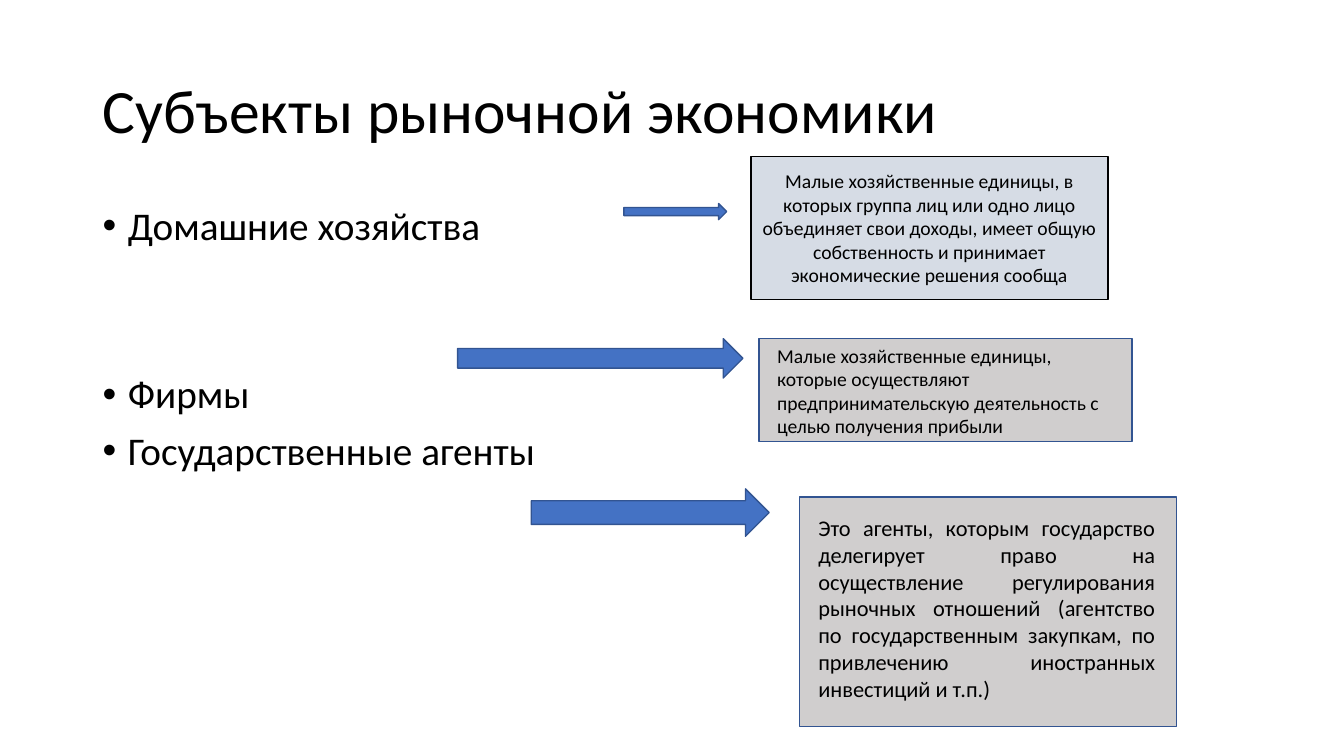
from typing import NamedTuple

from lxml import etree
from pptx import Presentation
from pptx import util as u
from pptx.dml.color import RGBColor
from pptx.enum import shapes, text
from pptx.oxml.ns import qn

FONT = "Calibri"
BLACK, BLUE, NAVY, GREY, PALE = "000000", "4472C4", "325491", "D0CECE", "D6DCE5"
ARROW, RECT = shapes.MSO_SHAPE.RIGHT_ARROW, shapes.MSO_SHAPE.RECTANGLE
MID, TOP = text.MSO_ANCHOR.MIDDLE, text.MSO_ANCHOR.TOP
LEFT, CENTER, FULL = text.PP_ALIGN.LEFT, text.PP_ALIGN.CENTER, text.PP_ALIGN.JUSTIFY


class Area(NamedTuple):
    """Left, top, width and height in percent of the slide."""
    x: float
    y: float
    w: float
    h: float


class Form(NamedTuple):
    kind: int
    area: Area
    fill: str
    line: str = NAVY


class Note(NamedTuple):
    area: Area
    words: str
    size: int
    align: int
    anchor: int = TOP


class Item(NamedTuple):
    words: str
    gap: float


TITLE = Area(6.9, 5.33, 86.25, 19.33)
BODY = Area(6.9, 26.67, 42.5, 63.47)
HOME = Area(55.88, 20.67, 26.55, 18.93)

FORMS = [
    Form(ARROW, Area(46.42, 26.93, 7.65, 2.13), BLUE),
    Form(RECT, HOME, PALE, BLACK),
    Form(ARROW, Area(34.05, 44.8, 21.23, 5.2), BLUE),
    Form(RECT, Area(56.48, 44.8, 27.75, 13.6), GREY),
    Form(ARROW, Area(39.53, 64.67, 17.7, 6.27), BLUE),
    Form(RECT, Area(59.48, 65.73, 28.05, 30.4), GREY),
]
NOTES = [
    Note(HOME, "Малые хозяйственные единицы, в которых группа лиц или одно лицо "
         "объединяет свои доходы, имеет общую собственность и принимает "
         "экономические решения сообща", 14, CENTER, MID),
    Note(Area(57.08, 44.8, 26.55, 13.87),
         "Малые хозяйственные единицы, которые осуществляют "
         "предпринимательскую деятельность с целью получения прибыли", 14, LEFT),
    Note(Area(60.15, 67.33, 26.55, 26.53),
         "Это агенты, которым государство делегирует право на осуществление "
         "регулирования рыночных отношений (агентство по государственным "
         "закупкам, по привлечению иностранных инвестиций и т.п.)", 16, FULL),
]
ITEMS = [
    Item("Домашние хозяйства", 0),
    Item("Фирмы", 90),
    Item("Государственные агенты", 10),
]

deck = Presentation()
deck.slide_width, deck.slide_height = u.Inches(13.33), u.Inches(7.5)


def hue(code: str) -> RGBColor:
    return RGBColor.from_string(code)


def apply(obj, **vals) -> None:
    for key, val in vals.items():
        setattr(obj, key, val)


def span(area: Area) -> tuple[int, ...]:
    """Turn percent of the slide into lengths."""
    wide, high = deck.slide_width, deck.slide_height
    return tuple(int(part * full / 100)
                 for part, full in zip(area, (wide, high, wide, high)))


def write(para, words: str, size: int, **form) -> None:
    run = para.add_run()
    run.text = words
    apply(run.font, name=FONT, size=u.Pt(size))
    run.font.color.rgb = hue(BLACK)
    apply(para, **form)


def draw_form(slide, form: Form) -> None:
    shape = slide.shapes.add_shape(form.kind, *span(form.area))
    shape.shadow.inherit = False
    shape.fill.solid()
    shape.fill.fore_color.rgb = hue(form.fill)
    shape.line.color.rgb = hue(form.line)
    shape.line.width = u.Pt(1)


def add_frame(slide, area: Area, anchor: int = TOP):
    frame = slide.shapes.add_textbox(*span(area)).text_frame
    apply(frame, word_wrap=True, vertical_anchor=anchor)
    return frame


def draw_note(slide, note: Note) -> None:
    frame = add_frame(slide, note.area, note.anchor)
    write(frame.paragraphs[0], note.words, note.size, alignment=note.align)


def add_dot(para) -> None:
    """Give a paragraph a bullet and a hanging indent."""
    props = para._p.get_or_add_pPr()
    props.set("marL", str(u.Inches(0.25)))
    props.set("indent", str(-u.Inches(0.25)))
    etree.SubElement(props, qn("a:buFont"), typeface="Arial")
    etree.SubElement(props, qn("a:buChar"), char="•")


def draw_list(slide, items: list[Item]) -> None:
    frame = add_frame(slide, BODY)
    for i, item in enumerate(items):
        para = frame.add_paragraph() if i else frame.paragraphs[0]
        write(para, item.words, 28, line_spacing=0.9, space_before=u.Pt(item.gap))
        add_dot(para)


def draw_title(slide, words: str) -> None:
    title = slide.shapes.title
    apply(title, **dict(zip(("left", "top", "width", "height"), span(TITLE))))
    apply(title.text_frame, word_wrap=True, vertical_anchor=MID)
    write(title.text_frame.paragraphs[0], words, 44, alignment=LEFT, line_spacing=0.9)


def main() -> None:
    slide = deck.slides.add_slide(deck.slide_layouts[5])
    draw_title(slide, "Субъекты рыночной экономики")
    draw_list(slide, ITEMS)
    for form in FORMS:
        draw_form(slide, form)
    for note in NOTES:
        draw_note(slide, note)
    deck.save("out.pptx")


if __name__ == "__main__":
    main()
